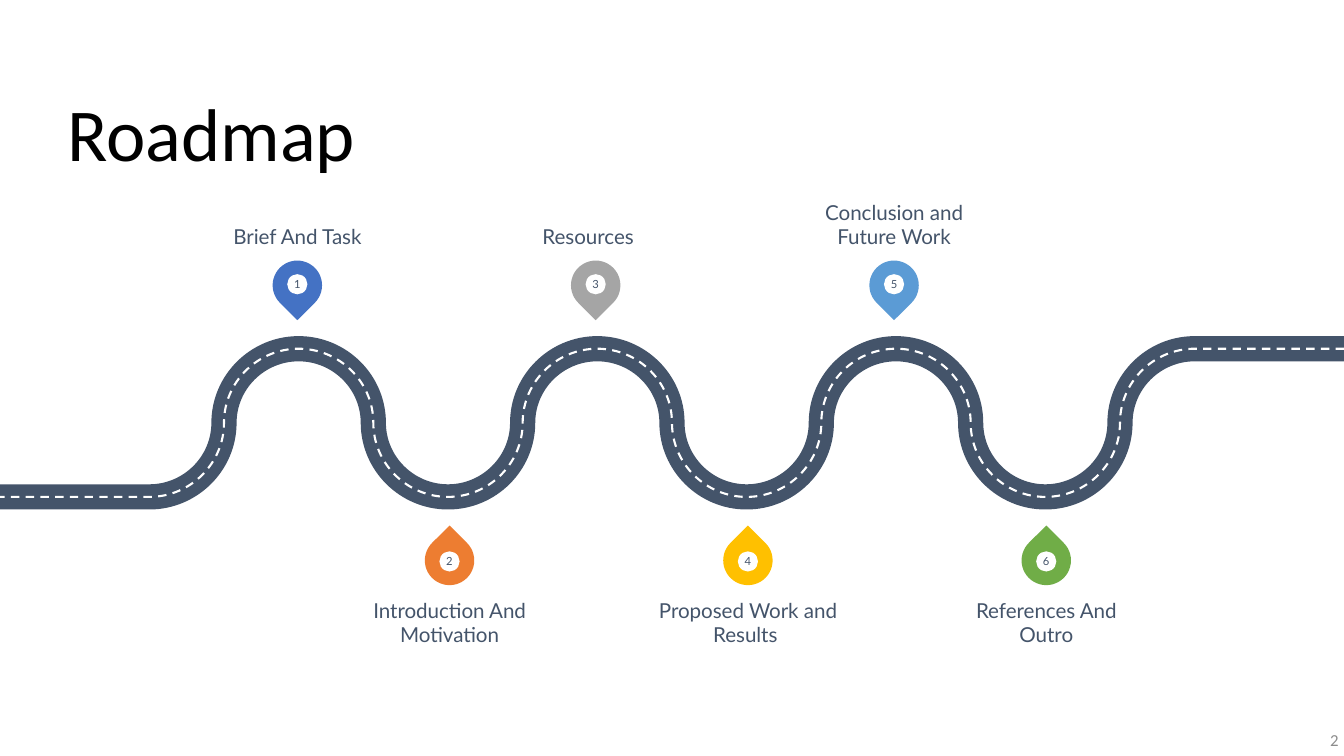
from lxml import etree
from pptx import Presentation
from pptx.dml.color import RGBColor
from pptx.enum.dml import MSO_LINE
from pptx.enum.shapes import MSO_SHAPE
from pptx.enum.text import MSO_ANCHOR, PP_ALIGN
from pptx.oxml.ns import qn
from pptx.util import Inches, Pt

TEARDROP, ELLIPSE = MSO_SHAPE.TEAR, MSO_SHAPE.OVAL
LEFT, CENTER, RIGHT = PP_ALIGN.LEFT, PP_ALIGN.CENTER, PP_ALIGN.RIGHT
TOP, MIDDLE, BOTTOM = MSO_ANCHOR.TOP, MSO_ANCHOR.MIDDLE, MSO_ANCHOR.BOTTOM
DASH = MSO_LINE.DASH

BLACK = RGBColor(0x00, 0x00, 0x00)
WHITE = RGBColor(0xFF, 0xFF, 0xFF)
SLATE = RGBColor(0x44, 0x54, 0x6A)
GRAY = RGBColor(0x8C, 0x8C, 0x8C)
PIN_BLUE = RGBColor(0x44, 0x72, 0xC4)
PIN_ORANGE = RGBColor(0xED, 0x7D, 0x31)
PIN_GRAY = RGBColor(0xA5, 0xA5, 0xA5)
PIN_YELLOW = RGBColor(0xFF, 0xC0, 0x00)
PIN_SKY = RGBColor(0x5B, 0x9B, 0xD5)
PIN_GREEN = RGBColor(0x70, 0xAD, 0x47)

WIDTH, HEIGHT = 40 / 3, 7.5
COLUMN = WIDTH / 9          # distance between two neighbouring bends
TURNS = 8
ROAD_TOP, ROAD_BOTTOM = 3.46, 4.93
ROAD_MIDDLE = (ROAD_TOP + ROAD_BOTTOM) / 2
ROUNDNESS = 0.55            # control point distance that makes a quarter circle

PIN_PITCH = 2.96            # distance between pins on the same side
PIN_SIZE, DOT_SIZE = 0.49, 0.2
LABEL_WIDTH, LABEL_HEIGHT = 1.88, 0.78

# label, pin colour, shift of the label from its pin
MILESTONES = [
    ("Brief And Task", PIN_BLUE, 0),
    ("Introduction And Motivation", PIN_ORANGE, 0),
    ("Resources ", PIN_GRAY, -0.05),
    ("Proposed Work and Results ", PIN_YELLOW, 0),
    ("Conclusion and Future Work", PIN_SKY, 0),
    ("References And Outro", PIN_GREEN, 0),
]


def write_text(shape, text, size, color, font="Lato", align=CENTER, anchor=TOP,
               line_spacing=None):
    frame = shape.text_frame
    frame.word_wrap = True
    frame.vertical_anchor = anchor
    frame.margin_left = frame.margin_right = 0
    frame.margin_top = frame.margin_bottom = 0
    paragraph = frame.paragraphs[0]
    paragraph.alignment = align
    if line_spacing:
        paragraph.line_spacing = line_spacing
    run = paragraph.add_run()
    run.text = text
    run.font.name = font
    run.font.size = Pt(size)
    run.font.color.rgb = color


def add_text(slide, left, top, width, height, text, **text_format):
    box = slide.shapes.add_textbox(
        Inches(left), Inches(top), Inches(width), Inches(height))
    write_text(box, text, **text_format)


def add_centered_shape(parent, kind, x, y, size, color):
    shape = parent.shapes.add_shape(
        kind, Inches(x - size / 2), Inches(y - size / 2), Inches(size), Inches(size))
    shape.shadow.inherit = False
    shape.fill.solid()
    shape.fill.fore_color.rgb = color
    shape.line.fill.background()
    return shape


def road_points():
    """Ends of the straight stretches and quarter circles, from right to left."""
    points = [(WIDTH, ROAD_TOP)]
    for turn in range(TURNS, 0, -1):
        points.append((turn * COLUMN, ROAD_BOTTOM if turn % 2 else ROAD_TOP))
        if turn > 1:
            points.append(((turn - 0.5) * COLUMN, ROAD_MIDDLE))
    points.append((0, ROAD_BOTTOM))
    return [(Inches(x), Inches(y)) for x, y in points]


def round_bends(road, points):
    """Turn every inner segment of the road into a quarter circle."""
    segments = list(road.element.iter(qn("a:lnTo")))
    bends = zip(segments[1:-1], points[1:], points[2:])
    for number, (segment, (x1, y1), (x2, y2)) in enumerate(bends):
        across, down = ROUNDNESS * (x2 - x1), ROUNDNESS * (y2 - y1)
        if number % 2 == 0:
            controls = [(x1 + across, y1), (x2, y2 - down)]
        else:
            controls = [(x1, y1 + down), (x2 - across, y2)]
        segment.tag = qn("a:cubicBezTo")
        for position, (x, y) in enumerate(controls):
            point = etree.Element(qn("a:pt"), x=str(round(x - road.left)),
                                  y=str(round(y - road.top)))
            segment.insert(position, point)


def add_road_line(slide, color, width, dash=None):
    points = road_points()
    builder = slide.shapes.build_freeform(*points[0], scale=1.0)
    builder.add_line_segments(points[1:], close=False)
    road = builder.convert_to_shape()
    round_bends(road, points)
    road.shadow.inherit = False
    road.fill.background()
    road.line.color.rgb = color
    road.line.width = Pt(width)
    if dash:
        road.line.dash_style = dash


def pin_place(index):
    """Horizontal centre of a pin, and whether it stands above the road."""
    above = index % 2 == 0
    return (2.95 if above else 4.46) + index // 2 * PIN_PITCH, above


def add_pin(slide, index, color):
    x, above = pin_place(index)
    pin_y, dot_y = (2.83, 2.82) if above else (5.56, 5.57)
    group = slide.shapes.add_group_shape()
    pin = add_centered_shape(group, TEARDROP, x, pin_y, PIN_SIZE, color)
    pin.rotation = 135 if above else 315
    dot = add_centered_shape(group, ELLIPSE, x, dot_y, DOT_SIZE, WHITE)
    write_text(dot, str(index + 1), size=8, color=SLATE, anchor=MIDDLE)


def add_label(slide, index, label, shift):
    x, above = pin_place(index)
    add_text(slide, x + shift - LABEL_WIDTH / 2, 1.69 if above else 5.93,
             LABEL_WIDTH, LABEL_HEIGHT, label, size=14.67, color=SLATE,
             anchor=BOTTOM if above else TOP)


def main():
    presentation = Presentation()
    presentation.slide_width = Inches(WIDTH)
    presentation.slide_height = Inches(HEIGHT)
    slide = presentation.slides.add_slide(presentation.slide_layouts[6])

    add_text(slide, 0.67, 0.96, 4.37, 0.91, "Roadmap", size=53.3, color=BLACK,
             font="Calibri", align=LEFT, line_spacing=0.9)
    add_text(slide, 12.61, 6.76, 0.67, 0.68, "2", size=12, color=GRAY,
             font="Calibri", align=RIGHT, anchor=BOTTOM)
    add_road_line(slide, SLATE, 18)
    add_road_line(slide, WHITE, 1.5, dash=DASH)
    for index, (label, color, shift) in enumerate(MILESTONES):
        add_pin(slide, index, color)
        add_label(slide, index, label, shift)

    presentation.save("out.pptx")


if __name__ == "__main__":
    main()
